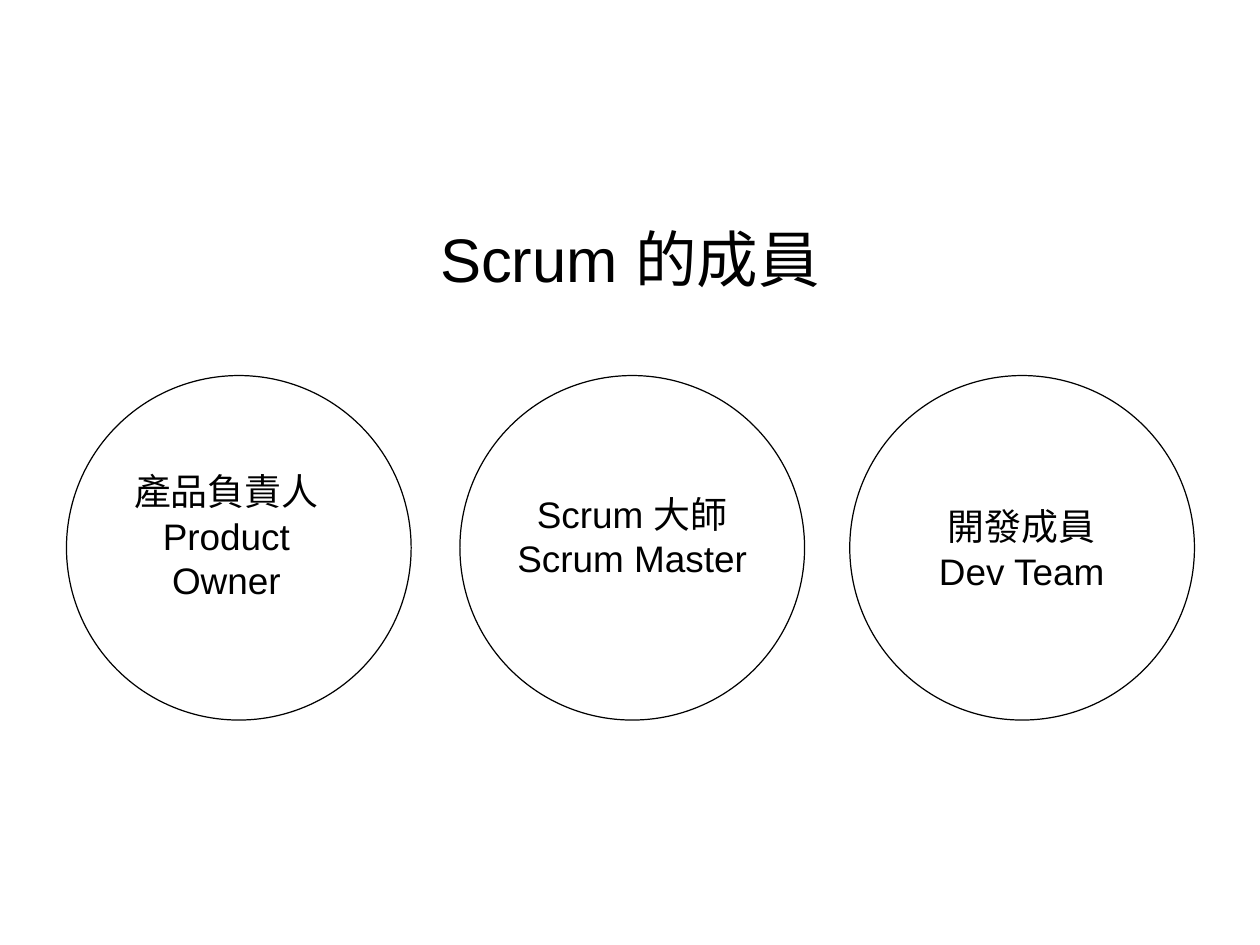
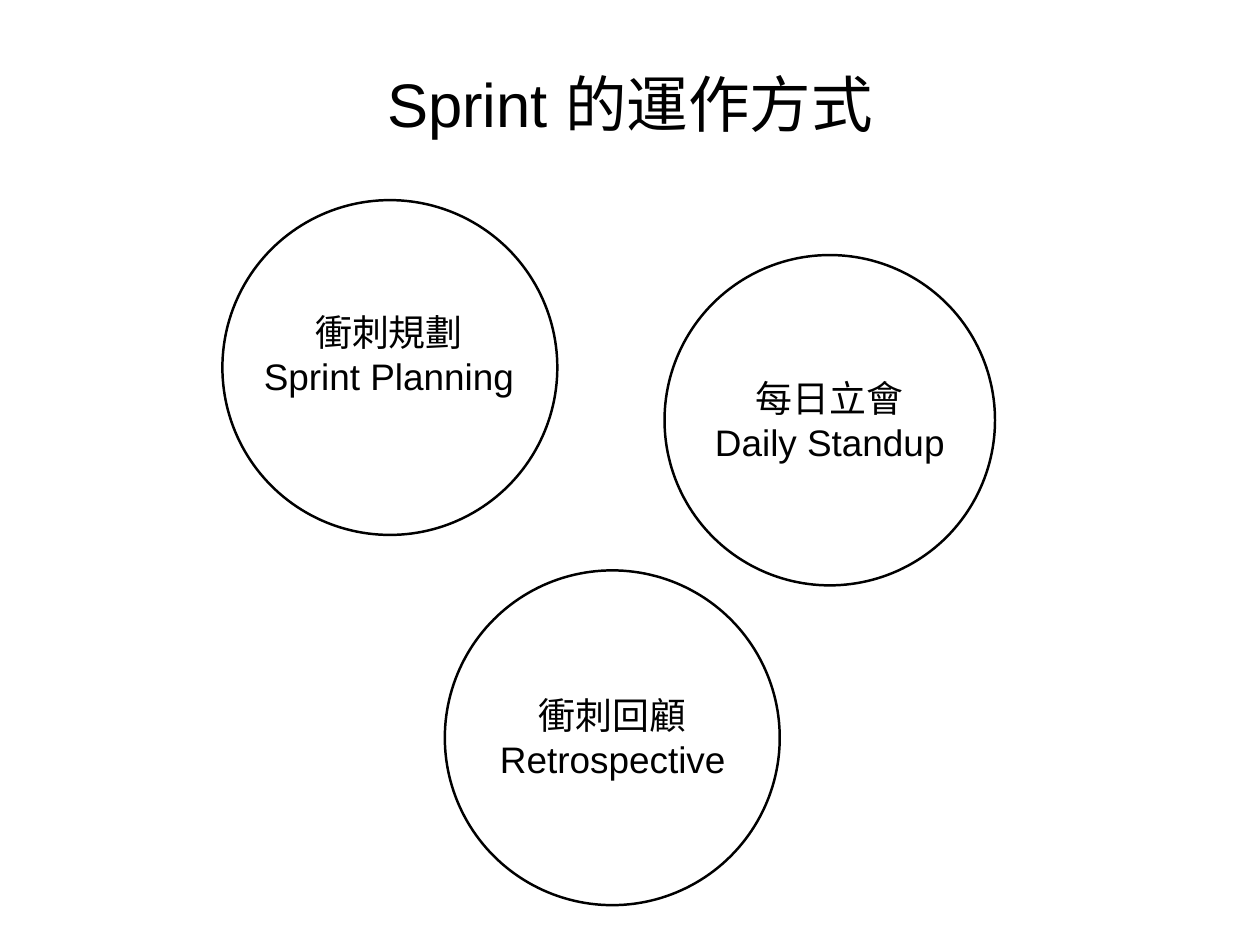
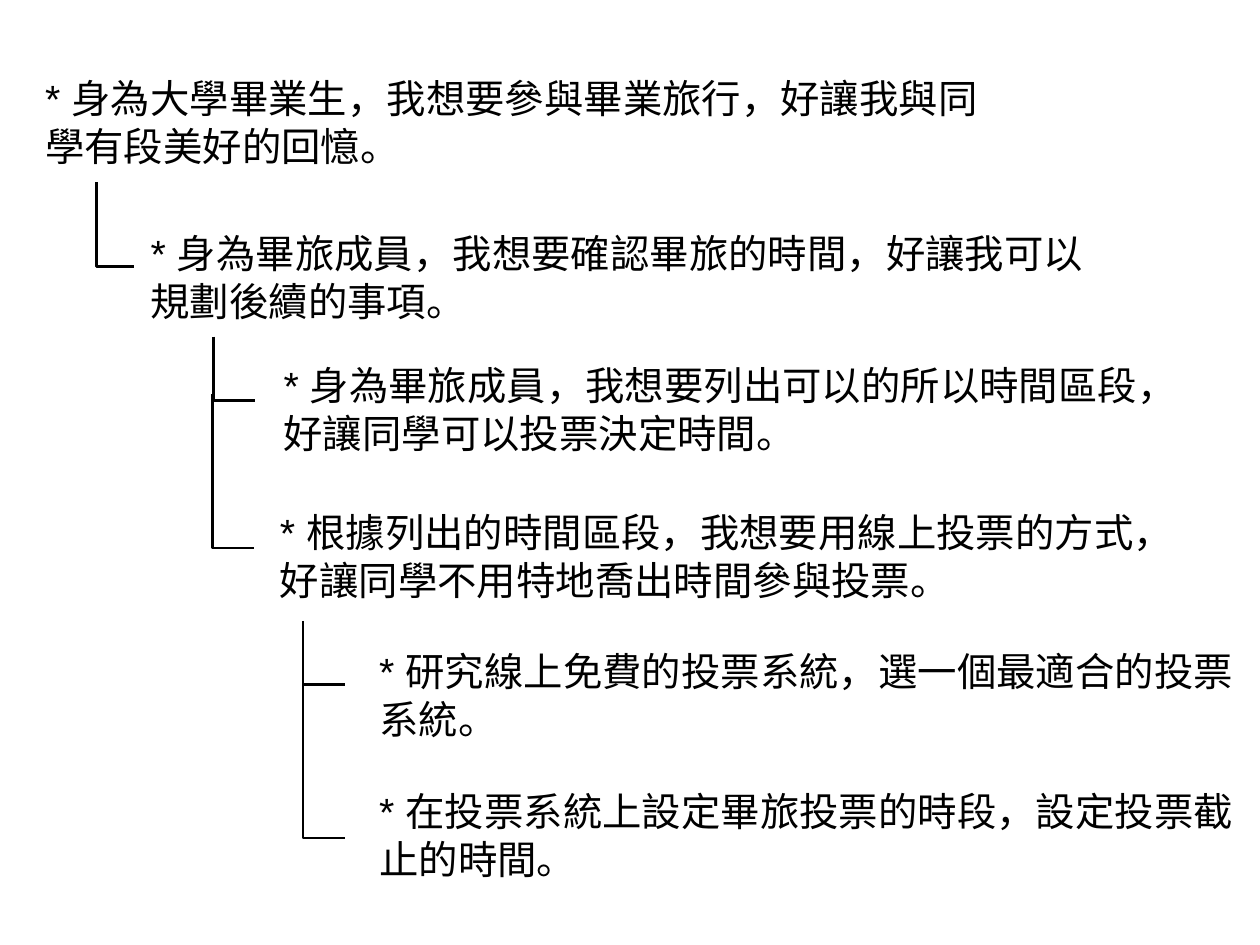
"""Build three slides on Scrum roles, sprint events and a tree of user stories."""
import pptx
import pptx.dml.color
import pptx.enum.shapes
import pptx.enum.text
import pptx.oxml.ns
import pptx.util
from lxml import etree

Inches = pptx.util.Inches
Align = pptx.enum.text.PP_ALIGN
Fit = pptx.enum.text.MSO_AUTO_SIZE
BLACK = "000000"
FONT = "Arial"
INSET = Inches(0.06)


def tint(item, code):
    item.rgb = pptx.dml.color.RGBColor.from_string(code)


def write(shape, text, size=30, align=Align.CENTER, fit=Fit.NONE):
    frame = shape.text_frame
    frame.text = text
    frame.word_wrap = True
    frame.auto_size = fit
    frame.vertical_anchor = pptx.enum.text.MSO_ANCHOR.MIDDLE
    frame.margin_left = frame.margin_right = INSET
    frame.margin_top = frame.margin_bottom = INSET
    for para in frame.paragraphs:
        para.alignment = align
        for run in para.runs:
            run.font.size = pptx.util.Pt(size)
            run.font.name = FONT
            tint(run.font.color, BLACK)
            east = etree.SubElement(run.font._element, pptx.oxml.ns.qn("a:ea"))
            east.set("typeface", FONT)


deck = pptx.Presentation()
deck.slide_width = Inches(14.22)
deck.slide_height = Inches(10.67)

boards = [
    ("Scrum 的成員", 2.2, 1, [
        ((0.75, 4.24, 3.89), (1.37, 5.19, 2.37, 1.71), "產品負責人Product Owner"),
        ((5.19, 4.24, 3.89), (5.72, 5.44, 2.83, 1.21), "Scrum 大師\nScrum Master"),
        ((9.59, 4.24, 3.89), (10.52, 5.59, 2.02, 1.2), "開發成員\nDev Team"),
    ]),
    ("Sprint 的運作方式", 0.45, 2, [
        ((5.02, 6.44, 3.78), (5.39, 7.61, 3.05, 1.42), "衝刺回顧\nRetrospective"),
        ((7.5, 2.88, 3.73), (7.84, 3.74, 3.05, 1.99), "每日立會\nDaily Standup"),
        ((2.51, 2.26, 3.78), (2.79, 3.36, 3.2, 1.27), "衝刺規劃\nSprint Planning"),
    ]),
]
for head, top, weight, rings in boards:
    slide = deck.slides.add_slide(deck.slide_layouts[5])
    title = slide.shapes.title
    title.left, title.top = Inches(0.39), Inches(top)
    title.width, title.height = Inches(13.44), Inches(1.42)
    write(title, head, size=50)
    for (left, high, side), box, text in rings:
        ring = slide.shapes.add_shape(
            pptx.enum.shapes.MSO_SHAPE.OVAL,
            Inches(left), Inches(high), Inches(side), Inches(side))
        ring.shadow.inherit = False
        ring.fill.background()
        ring.line.width = pptx.util.Pt(weight)
        tint(ring.line.color, BLACK)
        write(slide.shapes.add_textbox(*map(Inches, box)), text)

slide = deck.slides.add_slide(deck.slide_layouts[6])
tales = [
    (0.45, 0.69, 10.81, "* 身為大學畢業生，我想要參與畢業旅行，好讓我與同學有段美好的回憶。"),
    (1.64, 2.44, 10.94, "* 身為畢旅成員，我想要確認畢旅的時間，好讓我可以規劃後續的事項。"),
    (3.14, 3.93, 10.23, "* 身為畢旅成員，我想要列出可以的所以時間區段，\v好讓同學可以投票決定時間。"),
    (3.1, 5.59, 10.23, "* 根據列出的時間區段，我想要用線上投票的方式，好讓同學不用特地喬出時間參與投票。"),
    (4.22, 7.16, 9.81, "* 研究線上免費的投票系統，選一個最適合的投票系統。"),
    (4.22, 8.74, 9.81, "* 在投票系統上設定畢旅投票的時段，設定投票截止的時間。"),
]
for left, top, wide, text in tales:
    box = slide.shapes.add_textbox(
        Inches(left), Inches(top), Inches(wide), Inches(1.37))
    write(box, text, size=32, align=Align.LEFT, fit=Fit.SHAPE_TO_FIT_TEXT)

bends = [
    (1.09, 2.06, 0.42, 0.95),
    (2.41, 3.8, 0.47, 0.72),
    (2.4, 4.45, 0.47, 1.74),
    (3.42, 7.01, 0.47, 0.72),
    (3.42, 7.72, 0.47, 1.74),
]
for left, top, wide, tall in bends:
    low = Inches(top + tall)
    pen = slide.shapes.build_freeform(Inches(left), Inches(top))
    pen.add_line_segments(
        [(Inches(left), low), (Inches(left + wide), low)], close=False)
    bend = pen.convert_to_shape()
    bend.shadow.inherit = False
    bend.fill.background()
    bend.line.width = pptx.util.Pt(2)
    tint(bend.line.color, BLACK)

deck.save("out.pptx")
